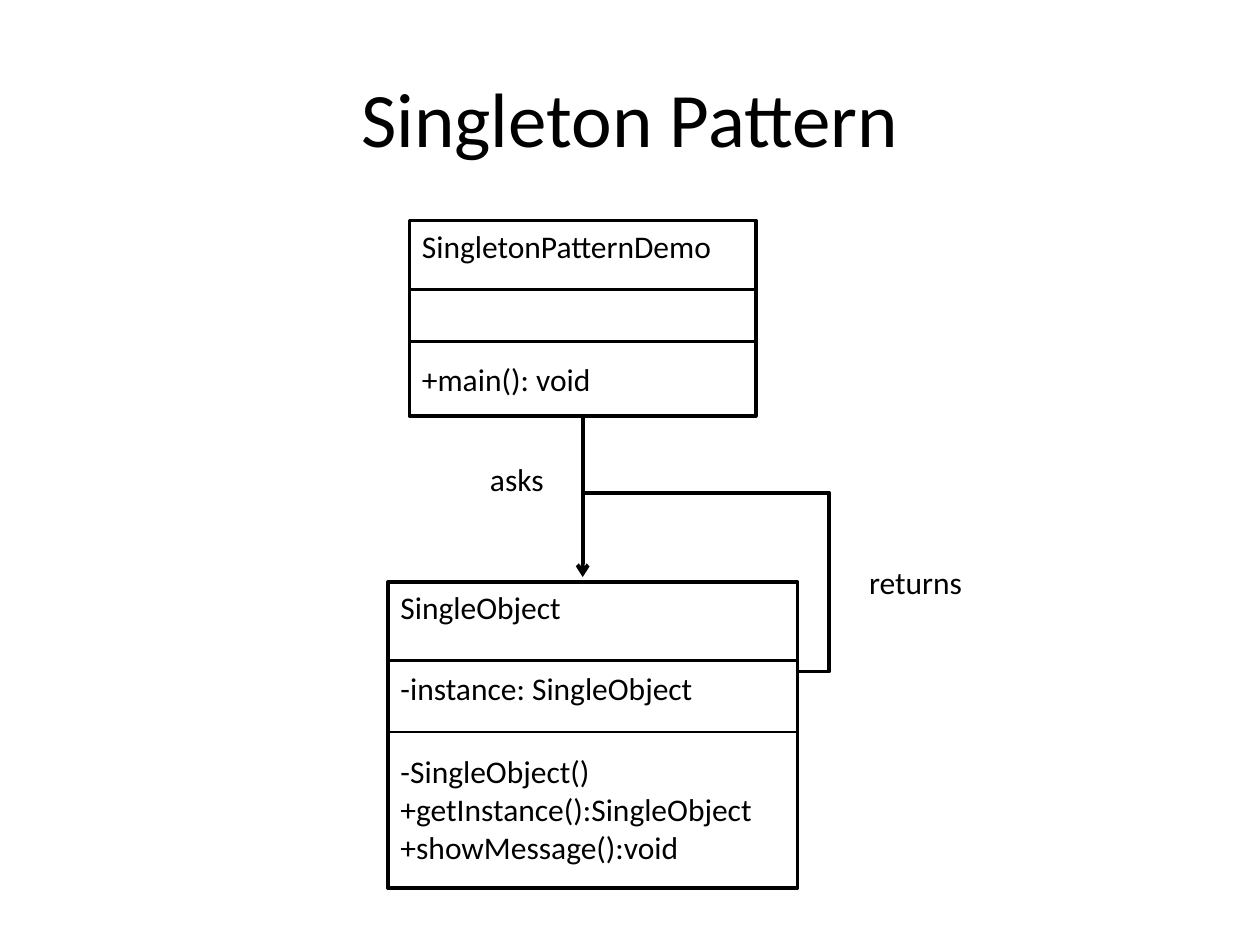
"""Build a slide with the UML class diagram of the singleton pattern."""
import pptx
import pptx.dml.color
import pptx.enum.shapes
import pptx.enum.text
import pptx.oxml.ns
import pptx.util
from lxml import etree
from pptx.util import Inches, Pt

BLACK = pptx.dml.color.RGBColor(0, 0, 0)
FONT = "Calibri"
STRAIGHT = pptx.enum.shapes.MSO_CONNECTOR.STRAIGHT
ELBOW = pptx.enum.shapes.MSO_CONNECTOR.ELBOW

TITLE = "Singleton Pattern"
CLASSES = [
    {
        "box": (3.25, 1.75, 2.75, 1.55),
        "dividers": [2.3, 2.71],
        "texts": [(1.75, 0.4, ["SingletonPatternDemo"]),
                  (2.81, 0.4, ["+main(): void"])],
    },
    {
        "box": (3.08, 4.62, 3.25, 2.43),
        "dividers": [5.24, 5.81],
        "texts": [(4.62, 0.46, ["SingleObject"]),
                  (5.26, 0.46, ["-instance: SingleObject"]),
                  (5.92, 1.0, ["-SingleObject()",
                               "+getInstance():SingleObject\v+showMessage():void"])],
    },
]
LABELS = [("asks", (3.79, 3.6, 1.21, 0.4)), ("returns", (6.8, 4.42, 1.83, 0.4))]
ASKS = ((4.62, 3.3), (4.62, 4.58))
RETURNS = ((6.33, 5.33), (4.62, 3.91))
RETURNS_BEND = -14600


def style_paragraph(paragraph, size):
    paragraph.font.size = Pt(size)
    paragraph.font.name = FONT
    paragraph.font.color.rgb = BLACK


def add_text(shapes, place, lines):
    frame = shapes.add_textbox(*map(Inches, place)).text_frame
    frame.word_wrap = True
    frame.auto_size = pptx.enum.text.MSO_AUTO_SIZE.SHAPE_TO_FIT_TEXT
    frame.text = "\n".join(lines)
    for paragraph in frame.paragraphs:
        style_paragraph(paragraph, 18)


def add_line(shapes, start, end, width, kind=STRAIGHT):
    line = shapes.add_connector(kind, *map(Inches, (*start, *end)))
    line.line.color.rgb = BLACK
    line.line.width = Pt(width)
    etree.SubElement(line._element.spPr, pptx.oxml.ns.qn("a:effectLst"))
    return line


def add_class(slide, box, dividers, texts):
    shapes = slide.shapes.add_group_shape().shapes
    left, _, width, _ = box
    outline = shapes.add_shape(pptx.enum.shapes.MSO_SHAPE.RECTANGLE, *map(Inches, box))
    outline.shadow.inherit = False
    outline.fill.background()
    outline.line.color.rgb = BLACK
    outline.line.width = Pt(2)
    for y in dividers:
        add_line(shapes, (left, y), (left + width, y), 1.5)
    for top, height, lines in texts:
        add_text(shapes, (left, top, width, height), lines)
    return outline


def main():
    deck = pptx.Presentation()
    deck.slide_width, deck.slide_height = Inches(10), Inches(7.5)
    slide = deck.slides.add_slide(deck.slide_layouts[5])

    title = slide.shapes.title
    title.left, title.top, title.width, title.height = map(Inches, (0.5, 0.3, 9, 1.25))
    title.text_frame.text = TITLE
    title.text_frame.vertical_anchor = pptx.enum.text.MSO_ANCHOR.MIDDLE
    heading = title.text_frame.paragraphs[0]
    heading.alignment = pptx.enum.text.PP_ALIGN.CENTER
    style_paragraph(heading, 44)

    demo, _ = [add_class(slide, **uml_class) for uml_class in CLASSES]

    asks = add_line(slide.shapes, *ASKS, 2.25)
    asks.begin_connect(demo, 2)
    asks.end_x = asks.begin_x
    etree.SubElement(asks.line._get_or_add_ln(), pptx.oxml.ns.qn("a:tailEnd"), type="arrow")

    returns = add_line(slide.shapes, *RETURNS, 2.25, ELBOW)
    guides = returns._element.spPr.find(".//" + pptx.oxml.ns.qn("a:avLst"))
    etree.SubElement(guides, pptx.oxml.ns.qn("a:gd"), name="adj1", fmla=f"val {RETURNS_BEND}")

    for label, place in LABELS:
        add_text(slide.shapes, place, [label])
    deck.save("out.pptx")


if __name__ == "__main__":
    main()
